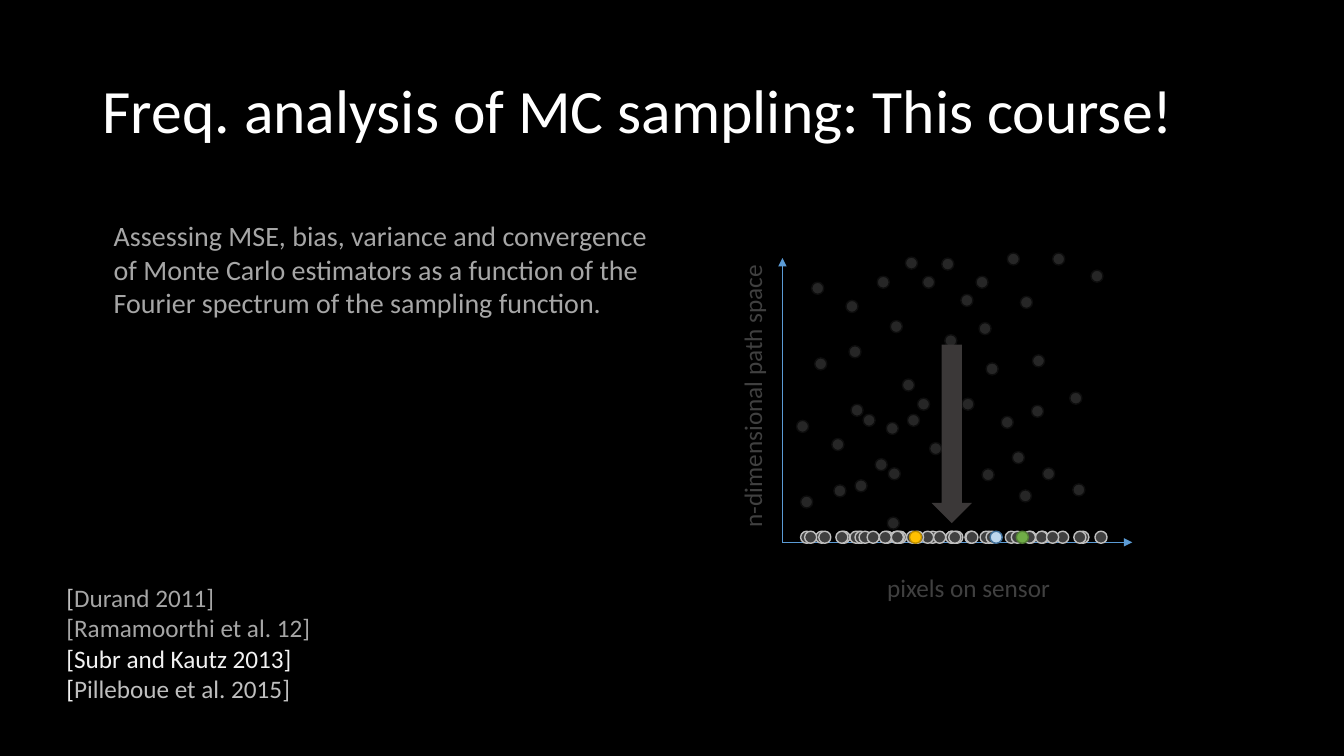
from dataclasses import dataclass

from lxml import etree
from pptx import Presentation
from pptx.dml.color import RGBColor
from pptx.enum.shapes import MSO_CONNECTOR, MSO_SHAPE
from pptx.enum.text import MSO_ANCHOR
from pptx.oxml.ns import qn
from pptx.util import Inches, Pt

CIRCLE = MSO_SHAPE.OVAL
DOWN_ARROW = MSO_SHAPE.DOWN_ARROW
STRAIGHT = MSO_CONNECTOR.STRAIGHT
TOP, MIDDLE = MSO_ANCHOR.TOP, MSO_ANCHOR.MIDDLE


@dataclass(frozen=True)
class Theme:
    font: str = "Calibri"
    title_size: int = 44
    body_size: int = 20
    label_size: int = 18
    background: str = "000000"
    title: str = "FFFFFF"
    highlight: str = "F2F2F2"
    light: str = "BFBFBF"
    body: str = "A6A6A6"
    label: str = "404040"
    axis: str = "5B9BD5"
    arrow: str = "3B3838"
    sample: tuple = ("262626", "0D0D0D")
    projected: tuple = ("404040", "BFBFBF")
    green: tuple = ("70AD47", "538035")
    blue: tuple = ("BDD7EE", "43739E")
    gold: tuple = ("FFC000", "BD8E00")


THEME = Theme()

DOT_SIZE = 0.12
PROJECTION_SHIFT = 0.04
PIXEL_ROW = 5.27
AXIS_ORIGIN = (7.76, 5.38)

SAMPLES = [
    (8.05, 2.8), (8.7, 2.74), (8.42, 3.43), (9.53, 2.92), (9.15, 2.74),
    (8.39, 2.98), (8.08, 3.55), (8.95, 3.76), (8.83, 3.18), (8.44, 4.01),
    (9.1, 3.95), (8.81, 4.64), (9.93, 4.13), (9.54, 3.95), (8.79, 4.19),
    (8.48, 4.76), (9.34, 4.96), (9.22, 4.39), (7.9, 4.17), (8.56, 4.11),
    (8.27, 4.81), (9.39, 4.29), (9, 4.11), (8.25, 4.35), (7.94, 4.92),
    (8.8, 5.13), (8.68, 4.55), (9.34, 2.56), (9.99, 2.51), (9.71, 3.2),
    (10.82, 2.68), (10.44, 2.51), (9.68, 2.74), (9.37, 3.32), (10.24, 3.52),
    (10.12, 2.94), (9.74, 4.65), (10.23, 4.02), (10.34, 4.64), (10.11, 4.86),
    (10.64, 4.8), (10.61, 3.89),
]
MARKED_SAMPLES = [
    ((10.04, 4.48), THEME.green),
    ((9.78, 3.6), THEME.blue),
    ((8.98, 2.55), THEME.gold),
]


def rgb(value):
    return RGBColor.from_string(value)


def add_text(page, frame, lines, size, anchor=TOP, wrap=False, rotation=0, spacing=1.0):
    """Add a text box; each line is a list of (text, colour) runs."""
    box = page.shapes.add_textbox(*map(Inches, frame))
    box.rotation = rotation
    for name, value in {"word_wrap": wrap, "vertical_anchor": anchor}.items():
        setattr(box.text_frame, name, value)
    for index, runs in enumerate(lines):
        para = box.text_frame.add_paragraph() if index else box.text_frame.paragraphs[0]
        para.line_spacing = spacing
        for text, color in runs:
            span = para.add_run()
            span.text = text
            for name, value in {"name": THEME.font, "size": Pt(size)}.items():
                setattr(span.font, name, value)
            span.font.color.rgb = rgb(color)


def add_filled_shape(page, kind, frame, fill, outline=None):
    shape = page.shapes.add_shape(kind, *map(Inches, frame))
    shape.shadow.inherit = False
    shape.fill.solid()
    shape.fill.fore_color.rgb = rgb(fill)
    if outline:
        shape.line.color.rgb = rgb(outline)
        shape.line.width = Pt(1)
    else:
        shape.line.fill.background()


def add_dot(page, left, top, colors):
    add_filled_shape(page, CIRCLE, (left, top, DOT_SIZE, DOT_SIZE), *colors)


def add_axis(page, end):
    axis = page.shapes.add_connector(STRAIGHT, *map(Inches, AXIS_ORIGIN + end))
    axis.line.color.rgb = rgb(THEME.axis)
    axis.line.width = Pt(0.5)
    outline = axis._element.spPr.find(qn("a:ln"))
    etree.SubElement(outline, qn("a:tailEnd"), type="triangle")
    etree.SubElement(axis._element.spPr, qn("a:effectLst"))


def add_sampling_diagram(page):
    """Draw samples in path space and their projection onto the pixel axis."""
    marked_points = [point for point, _ in MARKED_SAMPLES]
    for left, top in SAMPLES + marked_points:
        add_dot(page, left, top, THEME.sample)

    add_axis(page, (7.76, 2.56))
    add_axis(page, (11.23, 5.38))
    add_text(page, (5.98, 3.65, 2.96, 0.4), [[("n-dimensional path space", THEME.label)]],
             THEME.label_size, wrap=True, rotation=270)

    plain = [(point, THEME.projected) for point in SAMPLES]
    for (left, _), colors in plain + MARKED_SAMPLES:
        add_dot(page, left + PROJECTION_SHIFT, PIXEL_ROW, colors)

    add_filled_shape(page, DOWN_ARROW, (9.24, 3.42, 0.4, 1.77), THEME.arrow)
    add_text(page, (8.7, 5.63, 1.84, 0.4), [[("pixels on sensor", THEME.label)]],
             THEME.label_size)


def main():
    deck = Presentation()
    deck.slide_width, deck.slide_height = Inches(13.33), Inches(7.5)
    page = deck.slides.add_slide(deck.slide_layouts[6])
    page.background.fill.solid()
    page.background.fill.fore_color.rgb = rgb(THEME.background)

    add_text(page, (0.92, 0.4, 11.5, 1.45),
             [[("Freq. analysis of MC sampling: This course!", THEME.title)]],
             THEME.title_size, anchor=MIDDLE, wrap=True, spacing=0.9)
    add_sampling_diagram(page)
    add_text(page, (0.56, 5.73, 2.64, 1.31), [
        [("[", THEME.light), ("Durand 2011]", THEME.body)],
        [("[Ramamoorthi et al. 12]", THEME.body)],
        [("[Subr and Kautz 2013]", THEME.highlight)],
        [("[", THEME.highlight), ("Pilleboue et al. 2015]", THEME.light)],
    ], THEME.label_size)
    add_text(page, (1.03, 2.12, 5.63, 1.78), [
        [("Assessing MSE, bias, variance and convergence", THEME.body)],
        [("of Monte Carlo estimators as a function of the", THEME.body)],
        [("Fourier spectrum of the sampling function.", THEME.body)],
    ], THEME.body_size)
    deck.save("out.pptx")


if __name__ == "__main__":
    main()
